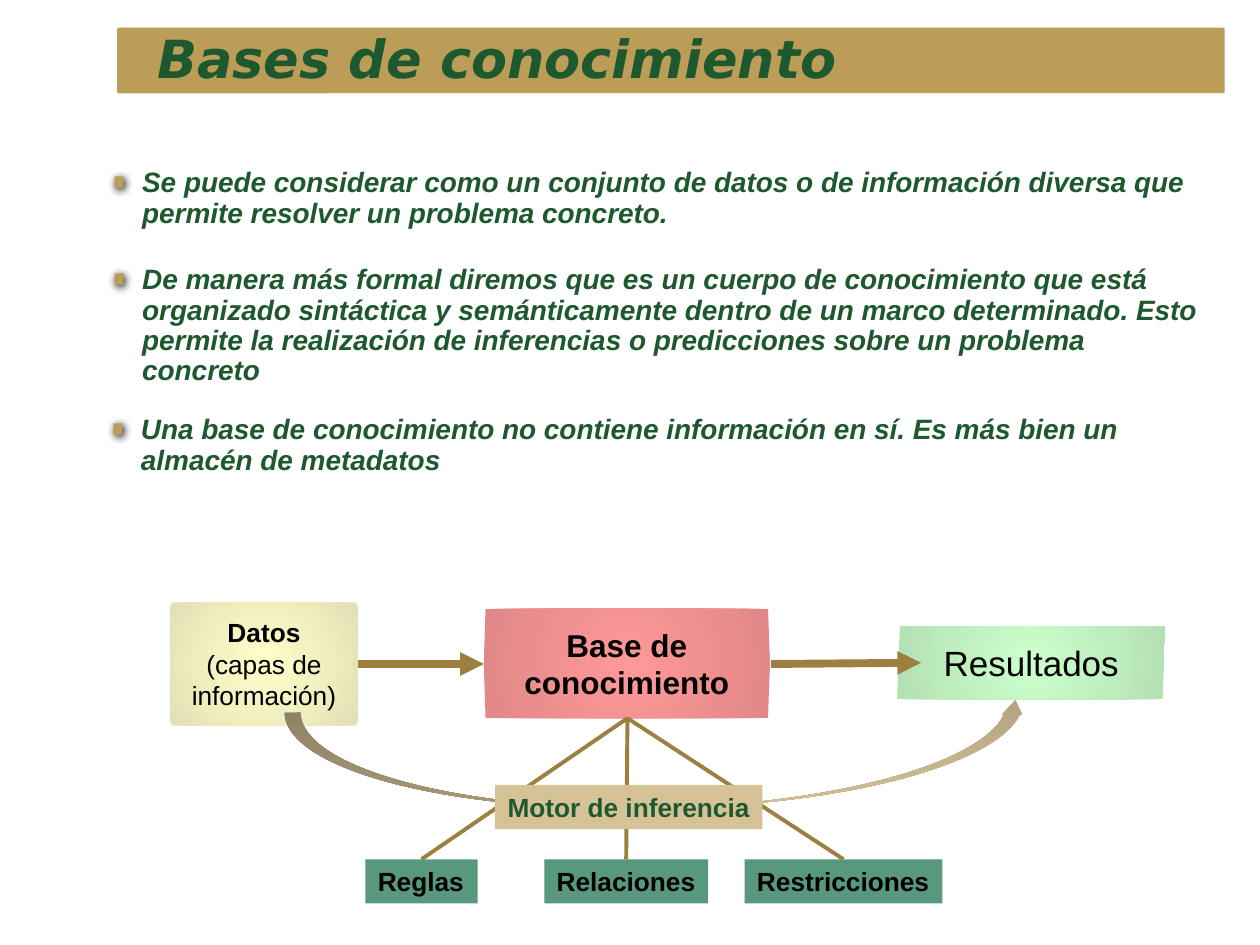
import pptx
import pptx.util
import pptx.dml.color
import pptx.enum.shapes
import pptx.enum.text
import pptx.oxml
import pptx.oxml.ns
import lxml.etree

RGB = pptx.dml.color.RGBColor
SHAPE = pptx.enum.shapes.MSO_SHAPE
ALIGN = pptx.enum.text.PP_ALIGN
ANCHOR = pptx.enum.text.MSO_ANCHOR
Inches = pptx.util.Inches
Pt = pptx.util.Pt

GOLD = RGB(0xBB, 0x9D, 0x57)
SAND = RGB(0xD5, 0xC2, 0x97)
DARK_SAND = RGB(0xB0, 0xA0, 0x7D)
BRONZE = RGB(0x9D, 0x80, 0x3F)
FOREST = RGB(0x1E, 0x58, 0x2F)
TEAL = RGB(0x58, 0x98, 0x7E)
BLACK = RGB(0, 0, 0)
YELLOWS = RGB(0xFF, 0xFF, 0xCC), RGB(0xE1, 0xE1, 0xB4)
REDS = RGB(0xFF, 0x99, 0x99), RGB(0xE1, 0x87, 0x87)
GREENS = RGB(0xCC, 0xFF, 0xCC), RGB(0xB4, 0xE1, 0xB4)

TITLE = "Bases de conocimiento"
POINTS = [
    (1.03, 1.29, 8.68, 0.58, "Se puede considerar como un conjunto de datos o de información "
     "diversa que permite resolver un problema concreto."),
    (1.03, 2.06, 8.62, 1.07, "De manera más formal diremos que es un cuerpo de conocimiento que "
     "está organizado sintáctica y semánticamente dentro de un marco determinado. Esto permite "
     "la realización de inferencias o predicciones sobre un problema concreto"),
    (1.02, 3.25, 8.62, 0.58, "Una base de conocimiento no contiene información en sí. Es más bien "
     "un almacén de metadatos"),
]
STAGES = [
    (SHAPE.PARALLELOGRAM, [0.039], (7.12, 4.97, 2.13, 0.58), GREENS, 20, [("Resultados", False)]),
    (SHAPE.HEXAGON, [0.016, 1.155], (3.84, 4.83, 2.27, 0.87), REDS, 18,
     [("Base de", True), ("conocimiento", True)]),
    (SHAPE.ROUNDED_RECTANGLE, [0.033], (1.35, 4.78, 1.49, 0.98), YELLOWS, 15,
     [("Datos", True), ("(capas de", False), ("información)", False)]),
]
FLOWS = [((6.12, 5.27), (7.31, 5.26)), ((2.84, 5.27), (3.84, 5.27))]
PARTS = [("Reglas", 2.9, 0.89), ("Relaciones", 4.32, 1.3), ("Restricciones", 5.91, 1.57)]
PART_TOP, TAG_HEIGHT = 6.82, 0.35
BASE_FOOT = (4.98, 5.7)
ENGINE = ("Motor de inferencia", 3.93, 6.23, 2.12)

deck = pptx.Presentation()
deck.slide_width, deck.slide_height = Inches(10), Inches(7.5)
page = deck.slides.add_slide(deck.slide_layouts[6])


def add_effects(shape, content=""):
    xml = f'<a:effectLst {pptx.oxml.ns.nsdecls("a")}>{content}</a:effectLst>'
    shape._element.spPr.append(pptx.oxml.parse_xml(xml))


def add_block(kind, place, color=None, adjustments=()):
    block = page.shapes.add_shape(kind, *map(Inches, place))
    block.shadow.inherit = False
    block.line.fill.background()
    for index, value in enumerate(adjustments):
        block.adjustments[index] = value
    if color is not None:
        block.fill.solid()
        block.fill.fore_color.rgb = color
    return block


def set_gradient(shape, colors, direction):
    shape.fill.gradient()
    for stop, color in zip(shape.fill.gradient_stops, colors):
        stop.color.rgb = color
    for stop, position in zip(shape.fill.gradient_stops, (0, 1)):
        stop.position = position
    gradient = shape._element.spPr.find(pptx.oxml.ns.qn("a:gradFill"))
    gradient.remove(gradient.find(pptx.oxml.ns.qn("a:lin")))
    namespace = pptx.oxml.ns.nsdecls("a")
    gradient.append(pptx.oxml.parse_xml(direction.format(namespace)))


def write(shape, lines, size, color, font="Arial", italic=False, align=ALIGN.LEFT,
          anchor=ANCHOR.TOP, wrap=True, spacing=1.0):
    frame = shape.text_frame
    frame.text = "\n".join(words for words, bold in lines)
    frame.word_wrap = wrap
    frame.vertical_anchor = anchor
    for para, (words, bold) in zip(frame.paragraphs, lines):
        para.alignment = align
        para.line_spacing = spacing
        span = para.runs[0].font
        span.name, span.size, span.bold, span.italic = font, Pt(size), bold, italic
        span.color.rgb = color


def add_line(start, end, width, arrow=False):
    line = page.shapes.add_connector(
        pptx.enum.shapes.MSO_CONNECTOR.STRAIGHT, *map(Inches, start + end))
    line.line.color.rgb = BRONZE
    line.line.width = Pt(width)
    if arrow:
        lxml.etree.SubElement(line.line._get_or_add_ln(), pptx.oxml.ns.qn("a:tailEnd"),
                              type="triangle")
    add_effects(line)


def add_tag(words, left, top, width, fill, color):
    tag = add_block(SHAPE.RECTANGLE, (left, top, width, TAG_HEIGHT), fill)
    write(tag, [(words, True)], 15, color, wrap=False)


add_block(SHAPE.ROUNDED_RECTANGLE, (0.93, 0.22, 8.79, 0.52), GOLD, [0.022])
title = page.shapes.add_textbox(*map(Inches, (1.15, 0.16, 8.36, 0.6)))
write(title, [(TITLE, True)], 30, FOREST, "DejaVu Sans", italic=True)

for left, top, width, height, words in POINTS:
    box = page.shapes.add_textbox(*map(Inches, (left, top, width, height)))
    write(box, [(words, True)], 16, FOREST, italic=True, spacing=0.9)
    marker = add_block(SHAPE.RECTANGLE, (left - 0.13, top + 0.12, 0.09, 0.07), GOLD)
    marker.rotation = 90
    marker.shadow.inherit = True
    add_effects(marker, '<a:outerShdw blurRad="63500" dist="17780" dir="2700000">'
                        '<a:srgbClr val="000000"/></a:outerShdw>')

for kind, adjustments, place, colors, size, lines in STAGES:
    stage = add_block(kind, place, adjustments=adjustments)
    set_gradient(stage, colors, '<a:path {} path="circle"><a:fillToRect l="50000" t="50000" '
                                'r="50000" b="50000"/></a:path>')
    write(stage, lines, size, BLACK, align=ALIGN.CENTER, anchor=ANCHOR.MIDDLE)
for start, end in FLOWS:
    add_line(start, end, 4.5, arrow=True)

for words, left, width in PARTS:
    add_tag(words, left, PART_TOP, width, TEAL, BLACK)
    add_line((left + width / 2, PART_TOP), BASE_FOOT, 2.25)

loop = add_block(SHAPE.CURVED_RIGHT_ARROW, (4.8, 3.07, 0.81, 5.88),
                 adjustments=[0.157, 0.195, 0.141])
loop.rotation = 269
set_gradient(loop, (DARK_SAND, SAND), '<a:lin {} ang="10800000" scaled="1"/>')
add_tag(*ENGINE, SAND, FOREST)

deck.save("out.pptx")
